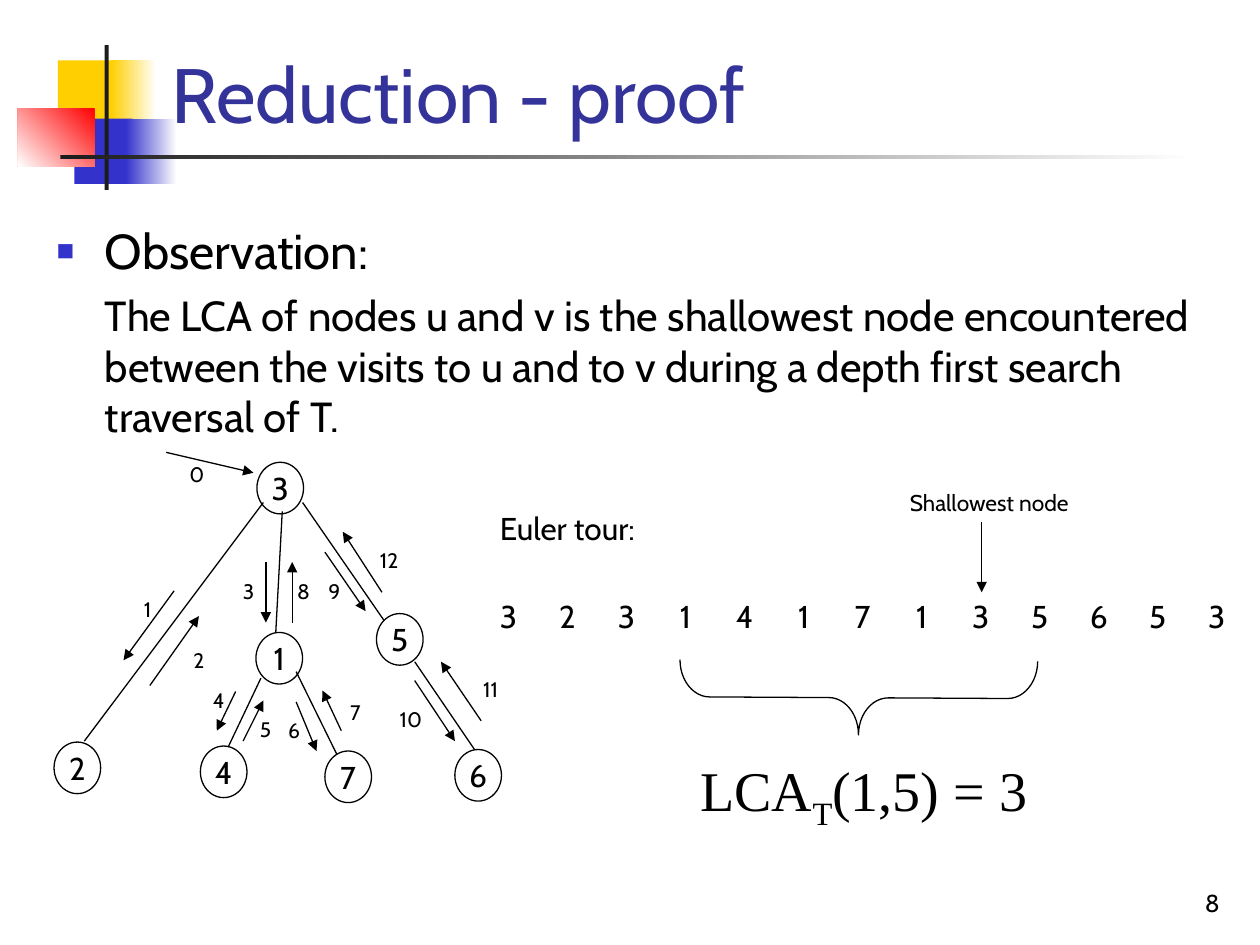
from dataclasses import dataclass

from lxml import etree
from pptx import Presentation
from pptx.dml.color import RGBColor
from pptx.enum.shapes import MSO_CONNECTOR, MSO_SHAPE
from pptx.enum.text import MSO_ANCHOR, MSO_AUTO_SIZE, PP_ALIGN
from pptx.oxml.ns import qn
from pptx.util import Cm, Pt

LEFT, CENTER, RIGHT = PP_ALIGN.LEFT, PP_ALIGN.CENTER, PP_ALIGN.RIGHT
TOP, MIDDLE, BOTTOM = MSO_ANCHOR.TOP, MSO_ANCHOR.MIDDLE, MSO_ANCHOR.BOTTOM
RECTANGLE, OVAL, BRACE = MSO_SHAPE.RECTANGLE, MSO_SHAPE.OVAL, MSO_SHAPE.LEFT_BRACE
STRAIGHT = MSO_CONNECTOR.STRAIGHT
NO_AUTOFIT = MSO_AUTO_SIZE.NONE

BLACK = RGBColor(0x00, 0x00, 0x00)
WHITE = RGBColor(0xFF, 0xFF, 0xFF)
YELLOW = RGBColor(0xFF, 0xCF, 0x01)
BLUE = RGBColor(0x33, 0x33, 0xCC)
RED = RGBColor(0xFF, 0x00, 0x00)
CHARCOAL = RGBColor(0x1C, 0x1C, 0x1C)
TITLE_BLUE = RGBColor(0x33, 0x33, 0x99)

SANS = "Cabin"
SERIF = "Times New Roman"
HAIRLINE = Pt(0.75)
NODE_WIDTH, NODE_HEIGHT = 0.94, 1.04
LABEL_WIDTH = 1.2
TOUR = "3231417135653"
TOUR_LEFT, TOUR_PITCH = 9.8, 1.19


@dataclass
class Ornament:
    left: float
    top: float
    width: float
    height: float
    color: RGBColor
    fade_angle: int | None = None


@dataclass
class Node:
    name: str
    left: float
    top: float
    filled: bool = True


@dataclass
class Segment:
    x1: float
    y1: float
    x2: float
    y2: float


@dataclass
class Step:
    """One arrow of the traversal and the place of its number."""
    arrow: Segment
    label_right: float
    label_top: float


ORNAMENTS = [
    Ornament(1.17, 1.22, 1.22, 1.32, YELLOW),
    Ornament(2.24, 1.22, 0.91, 1.32, YELLOW, 0),
    Ornament(1.5, 2.39, 1.17, 1.32, BLUE),
    Ornament(2.54, 2.39, 1.02, 1.32, BLUE, 0),
    Ornament(0.36, 2.18, 1.55, 1.17, RED, 225),
    Ornament(2.11, 0.91, 0.08, 2.92, CHARCOAL),
    Ornament(1.22, 3.12, 22.86, 0.08, CHARCOAL, 0),
]
EDGES = [
    Segment(5.69, 10.31, 5.56, 12.75),
    Segment(5.31, 10.13, 1.7, 14.94),
    Segment(6.1, 10.13, 7.75, 12.52),
    Segment(8.36, 13.34, 9.6, 15.16),
    Segment(5.26, 13.67, 4.6, 15.06),
    Segment(5.97, 13.54, 6.88, 15.39),
]
NODES = [
    Node("3", 5.18, 9.32, filled=False),
    Node("4", 4.04, 15.04, filled=False),
    Node("5", 7.59, 12.37),
    Node("1", 5.16, 12.75, filled=False),
    Node("6", 9.17, 15.11),
    Node("7", 6.55, 15.14),
    Node("2", 1.09, 14.96),
]
STEPS = [
    Step(Segment(3.35, 9.12, 5.11, 9.53), 4.37, 9.17),
    Step(Segment(3.51, 11.91, 2.49, 13.31), 3.3, 11.91),
    Step(Segment(3.02, 13.82, 4.01, 12.42), 4.37, 12.93),
    Step(Segment(5.36, 11.33, 5.36, 12.55), 5.38, 11.53),
    Step(Segment(4.75, 13.94, 4.37, 14.73), 4.78, 13.74),
    Step(Segment(4.9, 14.94, 5.31, 14.12), 5.72, 14.33),
    Step(Segment(5.97, 14.15, 6.38, 15.14), 6.3, 14.35),
    Step(Segment(6.88, 14.73, 6.5, 13.92), 7.52, 13.97),
    Step(Segment(5.89, 12.55, 5.89, 11.33), 6.5, 11.53),
    Step(Segment(6.55, 11.13, 7.37, 12.32), 7.11, 11.53),
    Step(Segment(8.36, 13.72, 9.17, 14.94), 8.76, 14.12),
    Step(Segment(9.7, 14.53, 8.89, 13.34), 10.29, 13.51),
    Step(Segment(7.7, 11.94, 6.91, 10.72), 8.28, 10.92),
]


def write(paragraph, text: str, *, size: float = 18, font: str = SANS,
          color: RGBColor = BLACK, align=LEFT):
    """Add a formatted run to the paragraph and return it."""
    paragraph.alignment = align
    span = paragraph.add_run()
    span.text = text
    span.font.size, span.font.name = Pt(size), font
    span.font.color.rgb = color
    return span


def place(shape, left: float, top: float, width: float, height: float) -> None:
    shape.left, shape.top = Cm(left), Cm(top)
    shape.width, shape.height = Cm(width), Cm(height)


def add_text(slide, text: str, left: float, top: float, width: float, height: float,
             *, anchor=TOP, **style):
    """Add a text box and return its paragraph."""
    box = slide.shapes.add_textbox(Cm(left), Cm(top), Cm(width), Cm(height))
    box.text_frame.word_wrap = True
    box.text_frame.vertical_anchor = anchor
    paragraph = box.text_frame.paragraphs[0]
    write(paragraph, text, **style)
    return paragraph


def add_ornament(slide, item: Ornament) -> None:
    shape = slide.shapes.add_shape(RECTANGLE, Cm(item.left), Cm(item.top),
                                   Cm(item.width), Cm(item.height))
    shape.shadow.inherit = False
    shape.line.fill.background()
    if item.fade_angle is None:
        shape.fill.solid()
        shape.fill.fore_color.rgb = item.color
    else:
        shape.fill.gradient()
        shape.fill.gradient_angle = item.fade_angle
        for stop, color in zip(shape.fill.gradient_stops, (item.color, WHITE)):
            stop.color.rgb = color
    # Ornaments lie behind the title.
    slide.shapes.title.element.addprevious(shape.element)


def add_line(slide, segment: Segment, *, arrow: bool = False) -> None:
    line = slide.shapes.add_connector(STRAIGHT, Cm(segment.x1), Cm(segment.y1),
                                      Cm(segment.x2), Cm(segment.y2))
    line.line.width = HAIRLINE
    line.line.color.rgb = BLACK
    if arrow:
        etree.SubElement(line.line._get_or_add_ln(), qn("a:tailEnd"), type="triangle")
    etree.SubElement(line.element.spPr, qn("a:effectLst"))


def add_node(slide, node: Node) -> None:
    shape = slide.shapes.add_shape(OVAL, Cm(node.left), Cm(node.top),
                                   Cm(NODE_WIDTH), Cm(NODE_HEIGHT))
    shape.shadow.inherit = False
    if node.filled:
        shape.fill.solid()
        shape.fill.fore_color.rgb = WHITE
    else:
        shape.fill.background()
    shape.line.width = HAIRLINE
    shape.line.color.rgb = BLACK
    frame = shape.text_frame
    frame.word_wrap = False
    frame.vertical_anchor = MIDDLE
    frame.margin_left = frame.margin_right = frame.margin_top = frame.margin_bottom = 0
    write(frame.paragraphs[0], node.name, align=CENTER)


def add_brace(slide) -> None:
    brace = slide.shapes.add_shape(BRACE, Cm(16.56), Cm(10.46), Cm(1.5), Cm(7.21))
    brace.rotation = 270.3
    brace.adjustments[0] = 0.4
    brace.shadow.inherit = False
    brace.fill.background()
    brace.line.width = HAIRLINE
    brace.line.color.rgb = BLACK


def fill_placeholders(slide) -> None:
    title, body = slide.shapes.title, slide.placeholders[1]
    place(title, 3.2, 0.58, 21.64, 2.34)
    title.text_frame.vertical_anchor = BOTTOM
    title.text_frame.auto_size = NO_AUTOFIT
    write(title.text_frame.paragraphs[0], "Reduction - proof", size=44, color=TITLE_BLUE)

    place(body, 0.89, 4.32, 23.6, 4.8)
    body.text_frame.auto_size = NO_AUTOFIT
    heading = body.text_frame.paragraphs[0]
    statement = body.text_frame.add_paragraph()
    for paragraph, indent in ((heading, -0.97), (statement, 0)):
        properties = paragraph._p.get_or_add_pPr()
        properties.set("marL", str(Cm(0.97)))
        properties.set("indent", str(Cm(indent)))
    properties = heading._p.get_or_add_pPr()
    bullet_color = etree.SubElement(properties, qn("a:buClr"))
    etree.SubElement(bullet_color, qn("a:srgbClr"), val=str(BLUE))
    etree.SubElement(properties, qn("a:buSzPct"), val="60000")
    etree.SubElement(properties, qn("a:buChar"), char="■")
    etree.SubElement(statement._p.get_or_add_pPr(), qn("a:buNone"))
    heading.space_before, statement.space_before = Pt(0), Pt(6)
    write(heading, "Observation:", size=28)
    write(statement, "The LCA of nodes u and v is the shallowest node encountered between "
          "the visits to u and to v during a depth first search traversal of T.", size=24)


def main() -> None:
    deck = Presentation()
    deck.slide_width, deck.slide_height = Cm(25.4), Cm(19.05)
    slide = deck.slides.add_slide(deck.slide_layouts[1])
    fill_placeholders(slide)
    for ornament in ORNAMENTS:
        add_ornament(slide, ornament)
    for edge in EDGES:
        add_line(slide, edge)
    for node in NODES:
        add_node(slide, node)
    for number, step in enumerate(STEPS):
        add_line(slide, step.arrow, arrow=True)
        add_text(slide, str(number), step.label_right - LABEL_WIDTH, step.label_top,
                 LABEL_WIDTH, 0.76, size=12, align=RIGHT)

    add_text(slide, "Euler tour:", 9.83, 10.13, 3.63, 1.02)
    for column, name in enumerate(TOUR):
        add_text(slide, name, TOUR_LEFT + column * TOUR_PITCH, 11.91, 0.9, 1.02,
                 align=CENTER)
    add_text(slide, "Shallowest node", 17.78, 9.73, 4.01, 0.81, size=13, align=RIGHT)
    add_line(slide, Segment(19.79, 10.52, 19.79, 11.94), arrow=True)
    add_brace(slide)
    formula = {"size": 32, "font": SERIF, "align": CENTER}
    result = add_text(slide, "LCA", 13.37, 15.11, 8.09, 1.8, **formula)
    subscript = write(result, "T", **formula)
    subscript.font._element.set("baseline", "-25000")
    write(result, "(1,5) = 3", **formula)
    add_text(slide, "8", 19.56, 17.35, 5.28, 1.27, size=14, align=RIGHT, anchor=BOTTOM)
    deck.save("out.pptx")


if __name__ == "__main__":
    main()
